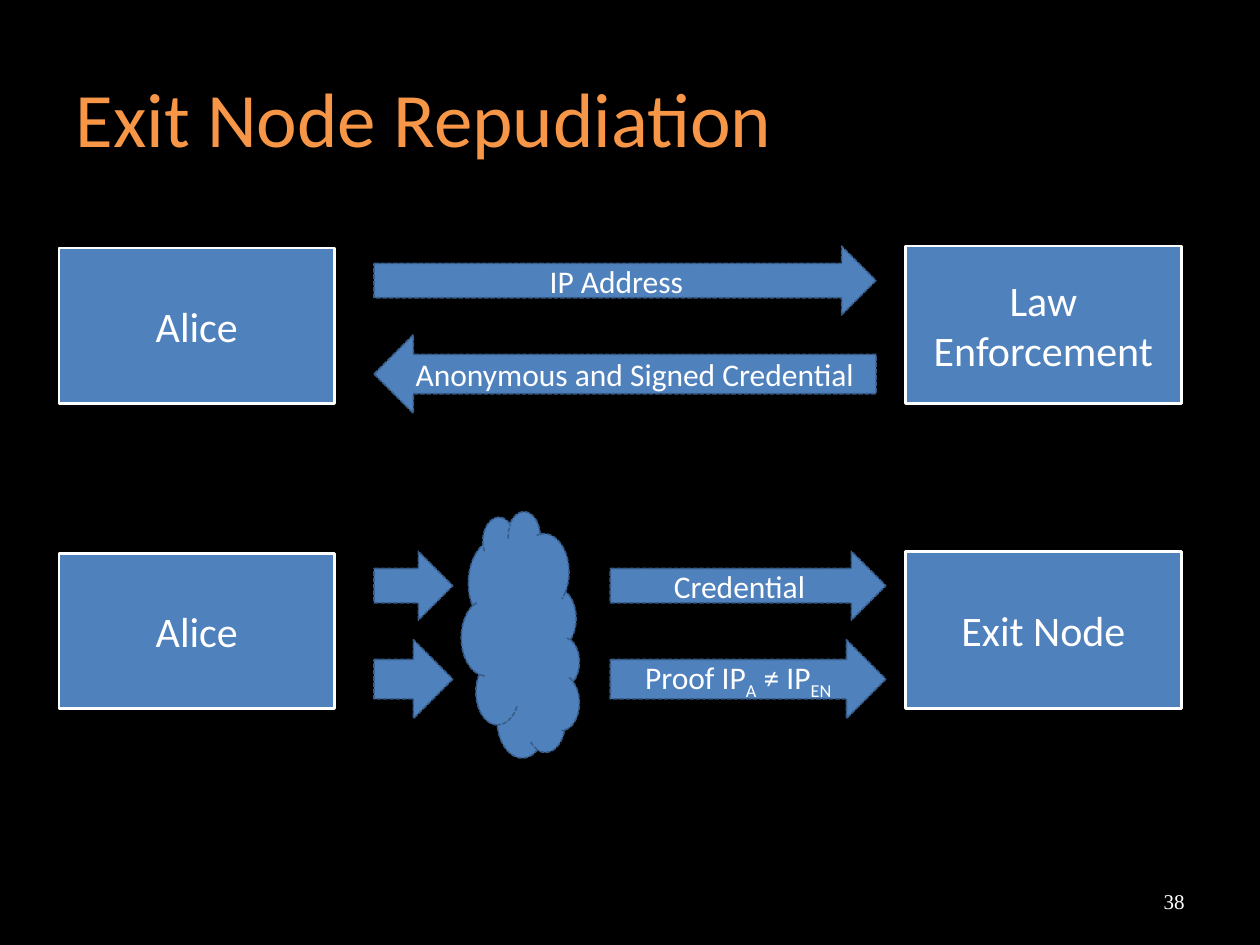
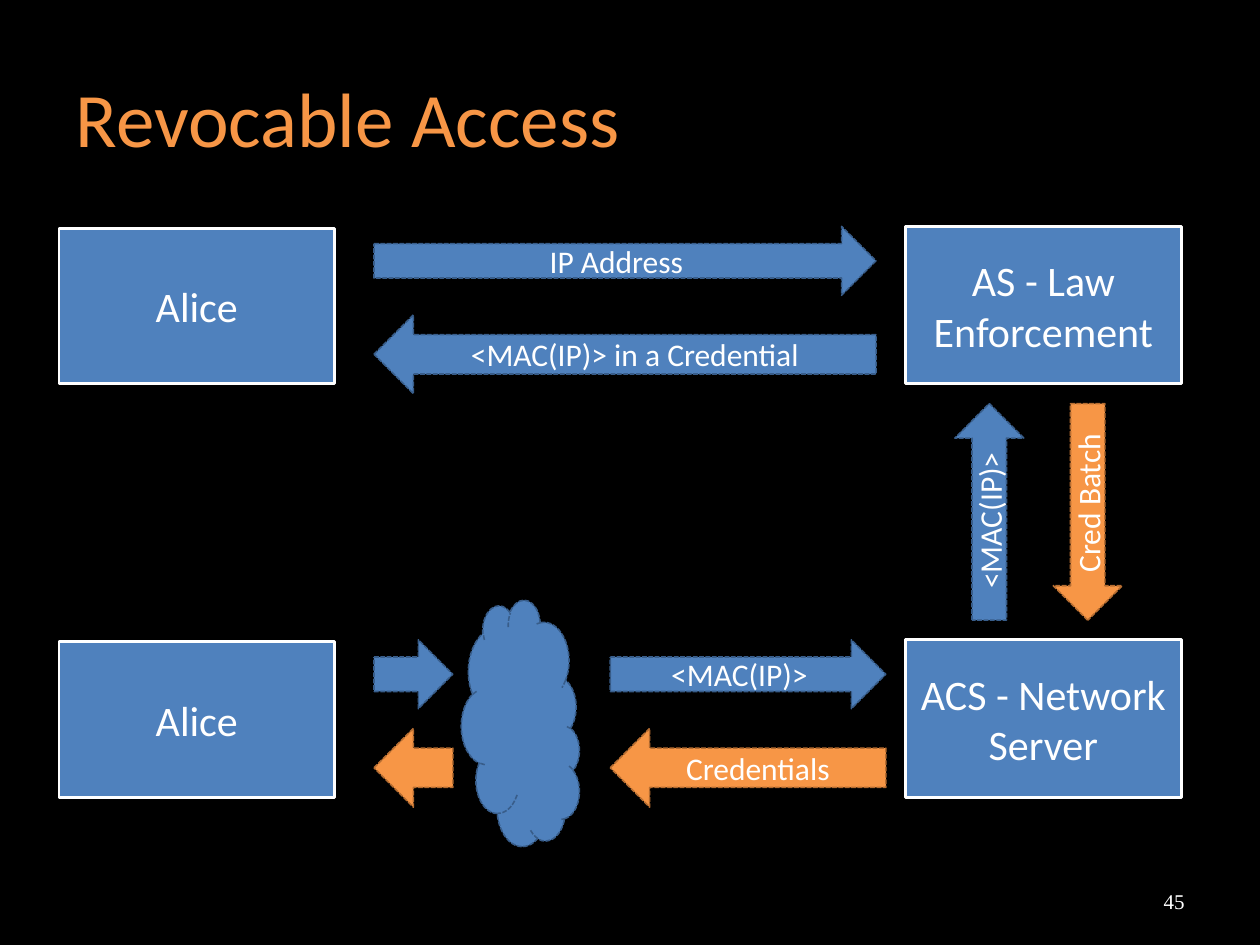
from dataclasses import dataclass
from typing import Any

import pptx
import pptx.dml.color
import pptx.enum.dml
import pptx.enum.shapes
import pptx.enum.text
import pptx.util

RGBColor = pptx.dml.color.RGBColor
Shape = pptx.enum.shapes.MSO_SHAPE
Align = pptx.enum.text.PP_ALIGN
Pt = pptx.util.Pt

BLACK = RGBColor(0x00, 0x00, 0x00)
WHITE = RGBColor(0xFF, 0xFF, 0xFF)
BLUE = RGBColor(0x4F, 0x81, 0xBD)
DARK_BLUE = RGBColor(0x38, 0x5D, 0x8A)
ORANGE = RGBColor(0xF7, 0x96, 0x46)
DARK_ORANGE = RGBColor(0xB6, 0x6D, 0x31)

WIDTH, HEIGHT = pptx.util.Inches(10), pptx.util.Inches(7.5)
CELL = WIDTH / 64
TITLE_ONLY = 5

TITLE_FONT = {"name": "Calibri", "size": Pt(44)}
PARTY_FONT = {"name": "Calibri", "size": Pt(24)}
LABEL_FONT = {"name": "Calibri", "size": Pt(18)}
NUMBER_FONT = {"name": "Times New Roman", "size": Pt(12)}

PARTY_LEFT, PARTY_RIGHT, PARTY_WIDTH = 3, 46, 14
ARROW_START = 19
LANE_HEIGHTS = (3.5, 4)
LANE_STEP = 4.5
DIRECT_LINK = (ARROW_START, 25.5)
TO_CLOUD = (ARROW_START, 4)
FROM_CLOUD = (31, 14)


@dataclass(frozen=True)
class Area:
    column: float
    row: float
    columns: float
    rows: float

    def lengths(self) -> tuple[int, ...]:
        return tuple(
            round(cells * CELL)
            for cells in (self.column, self.row, self.columns, self.rows)
        )


@dataclass(frozen=True)
class Look:
    fill: RGBColor
    line: RGBColor
    width: float = 0.9
    dashed: bool = True


@dataclass(frozen=True)
class Message:
    label: tuple[str, ...]
    forward: bool = True
    look: Look = Look(BLUE, DARK_BLUE)


@dataclass(frozen=True)
class Exchange:
    row: float
    partner: str
    messages: tuple[Message, Message]
    via_cloud: bool = False


@dataclass(frozen=True)
class Diagram:
    title: str
    number: str
    exchanges: tuple[Exchange, ...]
    upright: tuple[Message, ...] = ()


PARTY = Look(BLUE, WHITE, 1.6, False)
REQUEST = Look(BLUE, DARK_BLUE)
REPLY = Look(ORANGE, DARK_ORANGE)

TITLE_AREA = Area(3.2, 1.92, 57.6, 8)
NUMBER_AREA = Area(45.9, 44.5, 14.9, 2.56)

DIAGRAMS = (
    Diagram("Exit Node Repudiation", "38", (
        Exchange(12.5, "Law Enforcement", (
            Message(("IP Address",)),
            Message(("Anonymous and Signed Credential",), forward=False),
        )),
        Exchange(28, "Exit Node", (
            Message(("Credential",)),
            Message(("Proof IP", "A", " ≠ IP", "EN")),
        ), via_cloud=True),
    )),
    Diagram("Revocable Access", "45", (
        Exchange(11.5, "AS - Law Enforcement", (
            Message(("IP Address",)),
            Message(("<MAC(IP)> in a Credential",), forward=False),
        )),
        Exchange(32.5, "ACS - Network Server", (
            Message(("<MAC(IP)>",)),
            Message(("Credentials",), forward=False, look=REPLY),
        ), via_cloud=True),
    ), upright=(
        Message(("<MAC(IP)>",)),
        Message(("Cred Batch",), forward=False, look=REPLY),
    )),
)


def apply(target: Any, values: dict[str, Any]) -> None:
    for name, value in values.items():
        setattr(target, name, value)


def write(
    box: Any,
    label: tuple[str, ...],
    font: dict[str, Any],
    color: RGBColor = WHITE,
    align: Align = Align.CENTER,
) -> None:
    frame = box.text_frame
    apply(frame, {
        "word_wrap": True,
        "vertical_anchor": pptx.enum.text.MSO_ANCHOR.MIDDLE,
    })
    para = frame.paragraphs[0]
    para.alignment = align
    for index, words in enumerate(label):
        span = para.add_run()
        span.text = words
        apply(span.font, font)
        span.font.color.rgb = color
        if index % 2:
            span.font._element.set("baseline", "-25000")


def draw(page: Any, kind: Shape, area: Area, look: Look, rotation: int = 0) -> Any:
    shape = page.shapes.add_shape(kind, *area.lengths())
    shape.shadow.inherit = False
    shape.rotation = rotation
    shape.fill.solid()
    shape.fill.fore_color.rgb = look.fill
    shape.line.color.rgb = look.line
    shape.line.width = Pt(look.width)
    if look.dashed:
        shape.line.dash_style = pptx.enum.dml.MSO_LINE.SQUARE_DOT
    return shape


def draw_party(page: Any, name: str, area: Area) -> None:
    write(draw(page, Shape.RECTANGLE, area, PARTY), (name,), PARTY_FONT)


def draw_arrow(
    page: Any, message: Message, area: Area, rotation: int = 0, labelled: bool = True
) -> None:
    kind = Shape.RIGHT_ARROW if message.forward else Shape.LEFT_ARROW
    arrow = draw(page, kind, area, message.look, rotation)
    if labelled:
        write(arrow, message.label, LABEL_FONT)


def draw_exchange(page: Any, exchange: Exchange) -> None:
    row = exchange.row
    draw_party(page, exchange.partner, Area(PARTY_RIGHT, row, PARTY_WIDTH, 8))
    draw_party(page, "Alice", Area(PARTY_LEFT, row + 0.1, PARTY_WIDTH, 7.9))
    column, columns = FROM_CLOUD if exchange.via_cloud else DIRECT_LINK
    for lane, (message, rows) in enumerate(zip(exchange.messages, LANE_HEIGHTS)):
        top = row + lane * LANE_STEP
        draw_arrow(page, message, Area(column, top, columns, rows))
        if exchange.via_cloud:
            start, length = TO_CLOUD
            draw_arrow(page, message, Area(start, top, length, rows), labelled=False)
    if exchange.via_cloud:
        draw(page, Shape.CLOUD, Area(20.2, row + 1.25, 12.5, 6), REQUEST, 90)


def draw_diagram(deck: Any, diagram: Diagram) -> None:
    page = deck.slides.add_slide(deck.slide_layouts[TITLE_ONLY])
    title = page.shapes.title
    apply(title, dict(zip(("left", "top", "width", "height"), TITLE_AREA.lengths())))
    write(title, (diagram.title,), TITLE_FONT, ORANGE, Align.LEFT)
    number = page.shapes.add_textbox(*NUMBER_AREA.lengths())
    write(number, (diagram.number,), NUMBER_FONT, align=Align.RIGHT)
    for exchange in diagram.exchanges:
        draw_exchange(page, exchange)
    for index, message in enumerate(diagram.upright):
        draw_arrow(page, message, Area(44.75 + 5 * index, 24.25, 11, 3.5), 270)


def main() -> None:
    deck = pptx.Presentation()
    apply(deck, {"slide_width": WIDTH, "slide_height": HEIGHT})
    backdrop = deck.slide_master.background.fill
    backdrop.solid()
    backdrop.fore_color.rgb = BLACK
    for diagram in DIAGRAMS:
        draw_diagram(deck, diagram)
    deck.save("out.pptx")


if __name__ == "__main__":
    main()
